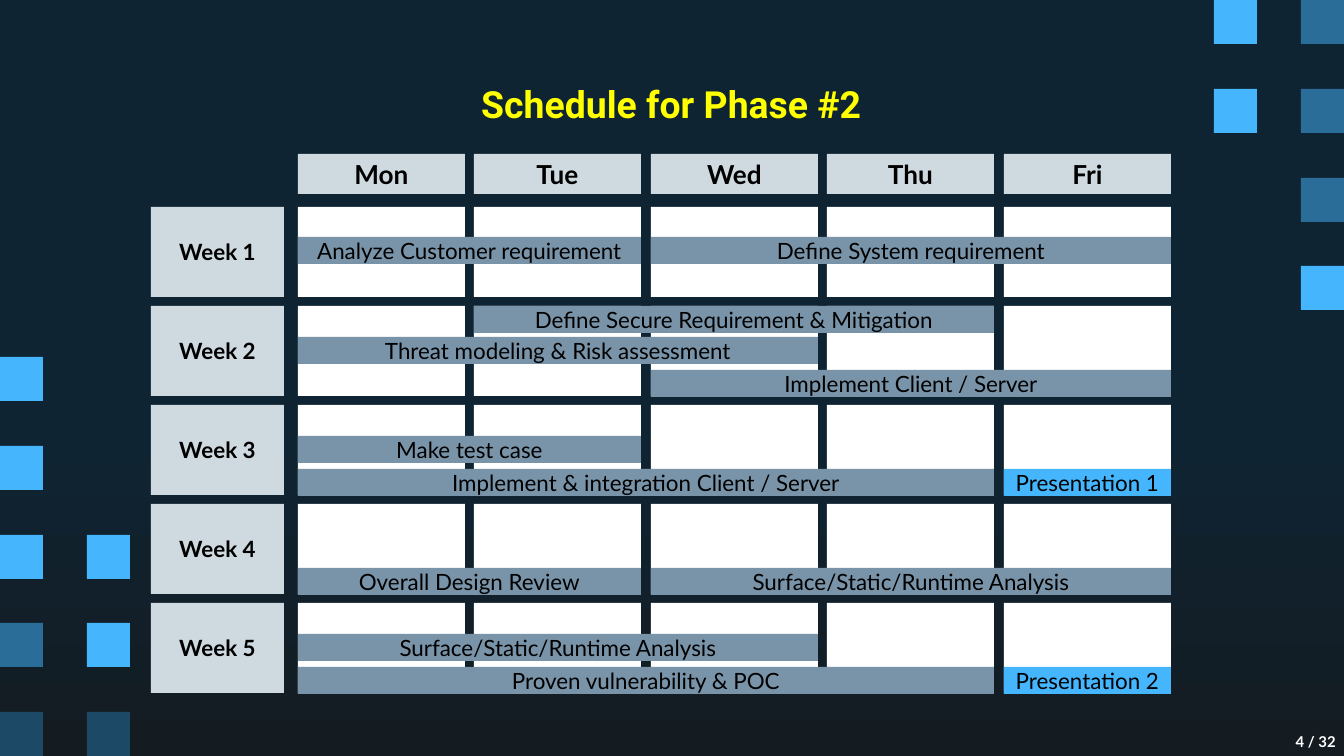
from dataclasses import dataclass

from pptx import Presentation
from pptx import util as u
from pptx.dml.color import RGBColor
from pptx.enum import shapes, text

SCALE = 914400 / 134.4  # EMU in one px


@dataclass(frozen=True)
class Theme:
    night: str = "0E2433"
    coal: str = "141C21"
    light: str = "45B6FE"
    mid: str = "296D98"
    dark: str = "1C4966"
    head: str = "CFD9E0"
    cell: str = "FFFFFF"
    bar: str = "7994A9"
    ink: str = "000000"
    title: str = "FFFF00"
    page: str = "FFFFFF"
    font: str = "Lato"
    display: str = "Roboto"
    big: int = 20
    day: int = 14
    body: int = 12
    small: int = 8


@dataclass(frozen=True)
class Task:
    name: str
    week: int
    first: int  # first day column
    days: int
    drop: int  # px below the top of the week
    fill: str = Theme.bar


@dataclass(frozen=True)
class Strip:
    left: int
    top: int
    first: int  # first row in the square pattern
    fills: tuple[str, ...]


T = Theme()

DAYS = ("Mon", "Tue", "Wed", "Thu", "Fri")
WEEKS = 5
LABEL_X, LABEL_W = 151, 133
GRID_X, GRID_Y = 298, 207
CELL_W, CELL_H = 167, 90
ROW_STEP = 99
HEAD_Y, HEAD_H, BAR_H = 154, 40, 27

TASKS = (
    Task("Analyze Customer requirement", 0, 0, 2, 30),
    Task("Define System requirement", 0, 2, 3, 30),
    Task("Threat modeling & Risk assessment", 1, 0, 3, 31),
    Task("Define Secure Requirement & Mitigation", 1, 1, 3, 0),
    Task("Implement Client / Server", 1, 2, 3, 64),
    Task("Make test case", 2, 0, 2, 31),
    Task("Implement & integration Client / Server", 2, 0, 4, 64),
    Task("Presentation 1", 2, 4, 1, 64, T.light),
    Task("Overall Design Review", 3, 0, 2, 64),
    Task("Surface/Static/Runtime Analysis", 3, 2, 3, 64),
    Task("Surface/Static/Runtime Analysis", 4, 0, 3, 31),
    Task("Proven vulnerability & POC", 4, 0, 4, 64),
    Task("Presentation 2", 4, 4, 1, 64, T.light),
)

STRIPS = (
    Strip(0, 357, 0, (T.light, T.light, T.light, T.mid, T.dark)),
    Strip(87, 357, 2, (T.light, T.light, T.dark)),
    Strip(1214, 0, 0, (T.light, T.light)),
    Strip(1301, 0, 0, (T.mid, T.mid, T.mid, T.light)),
)


def px(n: float) -> int:
    return round(n * SCALE)


def rgb(code: str) -> RGBColor:
    return RGBColor.from_string(code)


def col_x(col: int) -> int:
    return GRID_X + col * 353 // 2


def row_y(row: int) -> int:
    return GRID_Y + row * ROW_STEP


def write(shape, words: str, *, size: int = T.body, color: str = T.ink,
          bold: bool = False, font: str = T.font, side: int = 0,
          align=text.PP_ALIGN.CENTER) -> None:
    frame = shape.text_frame
    frame.word_wrap = True
    frame.auto_size = text.MSO_AUTO_SIZE.NONE
    frame.vertical_anchor = text.MSO_ANCHOR.MIDDLE
    frame.margin_left = frame.margin_right = px(side)
    frame.margin_top = frame.margin_bottom = 0
    par = frame.paragraphs[0]
    par.alignment = align
    run = par.add_run()
    run.text = words
    run.font.name, run.font.size = font, u.Pt(size)
    run.font.bold, run.font.color.rgb = bold, rgb(color)


def block(slide, x: int, y: int, w: int, h: int, fill: str):
    box = slide.shapes.add_shape(
        shapes.MSO_SHAPE.RECTANGLE, px(x), px(y), px(w), px(h))
    box.shadow.inherit = False
    box.fill.solid()
    box.fill.fore_color.rgb = rgb(fill)
    box.line.fill.background()
    return box


def backdrop(slide) -> None:
    fill = slide.background.fill
    fill.gradient()
    fill.gradient_angle = 270
    for stop, place, code in zip(
            fill.gradient_stops, (0.56, 1), (T.night, T.coal)):
        stop.position = place
        stop.color.rgb = rgb(code)
    for strip in STRIPS:
        for row, code in enumerate(strip.fills, strip.first):
            block(slide, strip.left, strip.top + round(row * 88.75), 43, 44, code)


def heading(slide) -> None:
    title = slide.shapes.title
    title.left, title.top = px(105), px(79)
    title.width, title.height = px(1133), px(49)
    write(title, "Schedule for Phase #2", size=T.big, color=T.title,
          bold=True, font=T.display)


def grid(slide) -> None:
    for col, day in enumerate(DAYS):
        box = block(slide, col_x(col), HEAD_Y, CELL_W, HEAD_H, T.head)
        write(box, day, size=T.day, bold=True)
    for row in range(WEEKS):
        box = block(slide, LABEL_X, row_y(row), LABEL_W, CELL_H, T.head)
        write(box, f"Week {row + 1}", bold=True)
        for col in range(len(DAYS)):
            block(slide, col_x(col), row_y(row), CELL_W, CELL_H, T.cell)


def chart(slide, task: Task) -> None:
    left = col_x(task.first)
    right = col_x(task.first + task.days - 1) + CELL_W
    box = block(slide, left, row_y(task.week) + task.drop,
                right - left, BAR_H, task.fill)
    write(box, task.name)


def main() -> None:
    deck = Presentation()
    deck.slide_width, deck.slide_height = px(1344), px(756)
    slide = deck.slides.add_slide(deck.slide_layouts[5])

    # Background and corner squares
    backdrop(slide)
    # Title
    heading(slide)
    # Calendar and its tasks
    grid(slide)
    for task in TASKS:
        chart(slide, task)
    # Page number
    page = slide.shapes.add_textbox(px(1269), px(730), px(75), px(24))
    write(page, "4 / 32", size=T.small, color=T.page, bold=True, side=8,
          align=text.PP_ALIGN.RIGHT)

    deck.save("out.pptx")


if __name__ == "__main__":
    main()
